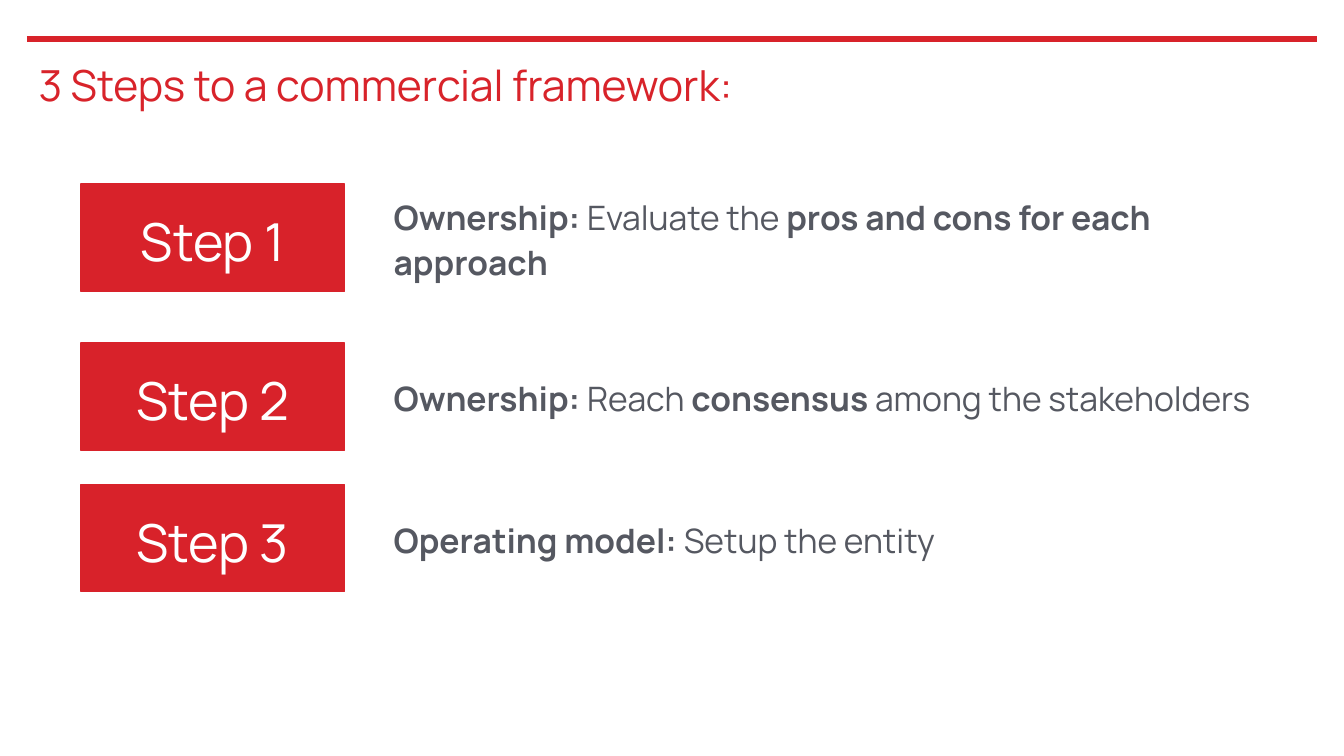
from pptx import Presentation
from pptx import util as u
from pptx.dml.color import RGBColor
from pptx.enum import shapes, text
from lxml import etree

RULE_RED = RGBColor(0xD8, 0x23, 0x2A)
BOX_RED = RGBColor(0xD8, 0x22, 0x2A)
GREY = RGBColor(0x55, 0x58, 0x61)
WHITE = RGBColor(0xFF, 0xFF, 0xFF)
FONT = "Manrope"
A = "http://schemas.openxmlformats.org/drawingml/2006/main"


def write(sp, runs, size, color, align=text.PP_ALIGN.LEFT,
          anchor=text.MSO_ANCHOR.MIDDLE, spacing=1.1, before=7.5):
    """Fill a shape with one paragraph of (text, bold) runs."""
    tf = sp.text_frame
    tf.word_wrap = True
    tf.vertical_anchor = anchor
    p = tf.paragraphs[0]
    p.alignment = align
    p.line_spacing = spacing
    p.space_before = u.Pt(before)
    for words, bold in runs:
        r = p.add_run()
        r.text = words
        r.font.name = FONT
        r.font.size = u.Pt(size)
        r.font.bold = bold
        r.font.color.rgb = color


prs = Presentation()
prs.slide_width, prs.slide_height = u.Cm(25.4), u.Cm(14.28)
s = prs.slides.add_slide(prs.slide_layouts[6])

# Rule across the top
rule = s.shapes.add_connector(shapes.MSO_CONNECTOR.STRAIGHT,
                              u.Cm(0.51), u.Cm(0.74), u.Cm(24.89), u.Cm(0.74))
rule.line.color.rgb = RULE_RED
rule.line.width = u.Pt(3)
etree.SubElement(rule._element.spPr, f"{{{A}}}effectLst")

# Title
title = s.shapes.add_textbox(u.Cm(0.48), u.Cm(0.99), u.Cm(24.38), u.Cm(2.44))
write(title, [("3 Steps to a commercial framework:", False)], 22.9, RULE_RED,
      anchor=text.MSO_ANCHOR.TOP, spacing=1.0, before=0)

# Steps: top of the row in cm, then the description
steps = [
    (3.46, [("Ownership: ", True), ("Evaluate the ", False),
            ("pros and cons for each approach", True)]),
    (6.46, [("Ownership: ", True), ("Reach ", False), ("consensus", True),
            (" among the stakeholders", False)]),
    (9.13, [("Operating model: ", True), ("Setup the entity", False)]),
]
for n, (top, runs) in enumerate(steps, 1):
    body = s.shapes.add_textbox(u.Cm(7.19), u.Cm(top), u.Cm(17.25), u.Cm(2.06))
    write(body, runs, 18, GREY)

    box = s.shapes.add_shape(shapes.MSO_SHAPE.RECTANGLE,
                             u.Cm(1.53), u.Cm(top + 0.02), u.Cm(4.98), u.Cm(2.03))
    box.shadow.inherit = False
    box.fill.solid()
    box.fill.fore_color.rgb = BOX_RED
    box.line.color.rgb = BOX_RED
    box.line.width = u.Pt(0.75)
    write(box, [(f"Step {n}", False)], 28, WHITE, align=text.PP_ALIGN.CENTER)

prs.save("out.pptx")
